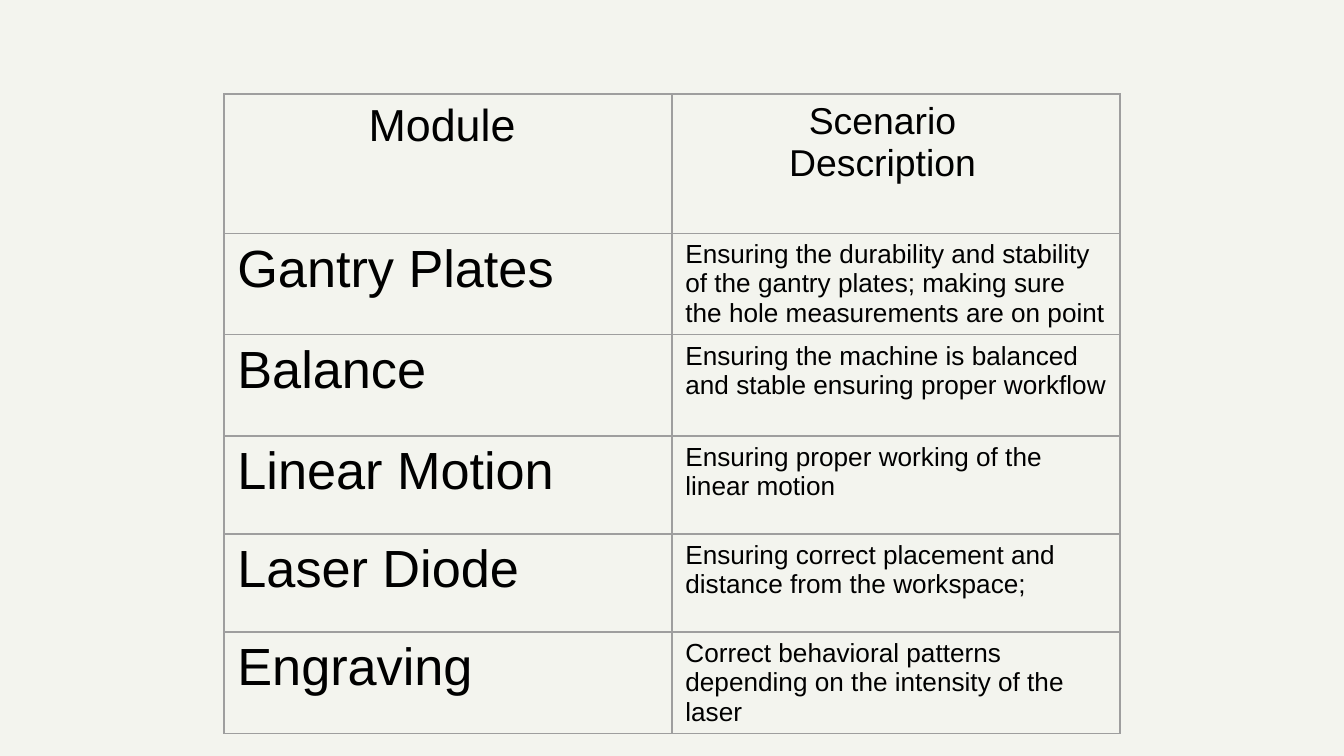
from pptx import Presentation
from pptx.dml.color import RGBColor
from pptx.enum.text import PP_ALIGN as Align
from pptx.oxml import parse_xml
from pptx.oxml.ns import nsdecls
from pptx.util import Pt

BACKGROUND = RGBColor(0xF3, 0xF4, 0xEE)
TEXT = RGBColor(0x00, 0x00, 0x00)
BORDER = RGBColor(0x9E, 0x9E, 0x9E)
FONT = "Arial"

COLUMN_WIDTH = 240
ROW_HEIGHTS = [74.5, 54.25, 54.25, 52.5, 52.5, 54.25]

MODULES = [
    ("Gantry Plates", "Ensuring the durability and stability of the gantry plates; "
                      "making sure the hole measurements are on point"),
    ("Balance", "Ensuring the machine is balanced and stable ensuring proper workflow"),
    ("Linear Motion", "Ensuring proper working of the linear motion"),
    ("Laser Diode", "Ensuring correct placement and distance from the workspace;"),
    ("Engraving", "Correct behavioral patterns depending on the intensity of the laser"),
]


def write_text(cell, text, size, align=Align.LEFT, margin_right=7.2):
    """Fill a cell with one paragraph for each line of text."""
    cell.margin_right = Pt(margin_right)
    cell.text_frame.text = text
    for paragraph in cell.text_frame.paragraphs:
        paragraph.alignment = align
        for run in paragraph.runs:
            run.font.name = FONT
            run.font.size = Pt(size)
            run.font.bold = False
            run.font.color.rgb = TEXT


def style_cell(cell):
    """Draw a thin border on all four sides and leave the cell unfilled."""
    cell.fill.background()
    properties = cell._tc.get_or_add_tcPr()
    for position, side in enumerate(("lnL", "lnR", "lnT", "lnB")):
        properties.insert(position, parse_xml(
            f'<a:{side} {nsdecls("a")} w="{Pt(0.75)}"><a:solidFill>'
            f'<a:srgbClr val="{BORDER}"/></a:solidFill></a:{side}>'))


def add_module_table(slide):
    frame = slide.shapes.add_table(
        len(ROW_HEIGHTS), 2, Pt(120), Pt(50.4),
        Pt(2 * COLUMN_WIDTH), Pt(sum(ROW_HEIGHTS)))
    table = frame.table
    table.horz_banding = False
    table.first_row = False
    for column in table.columns:
        column.width = Pt(COLUMN_WIDTH)
    for row, height in zip(table.rows, ROW_HEIGHTS):
        row.height = Pt(height)
    for cell in table.iter_cells():
        style_cell(cell)

    write_text(table.cell(0, 0), "Module", size=24,
               align=Align.CENTER, margin_right=13.6)
    write_text(table.cell(0, 1), "Scenario\nDescription", size=20,
               align=Align.CENTER, margin_right=21.5)
    for row, (module, description) in enumerate(MODULES, start=1):
        write_text(table.cell(row, 0), module, size=28)
        write_text(table.cell(row, 1), description, size=14)


def main():
    presentation = Presentation()
    presentation.slide_width = Pt(720)
    presentation.slide_height = Pt(405)
    slide = presentation.slides.add_slide(presentation.slide_layouts[6])
    slide.background.fill.solid()
    slide.background.fill.fore_color.rgb = BACKGROUND
    add_module_table(slide)
    presentation.save("out.pptx")


if __name__ == "__main__":
    main()
